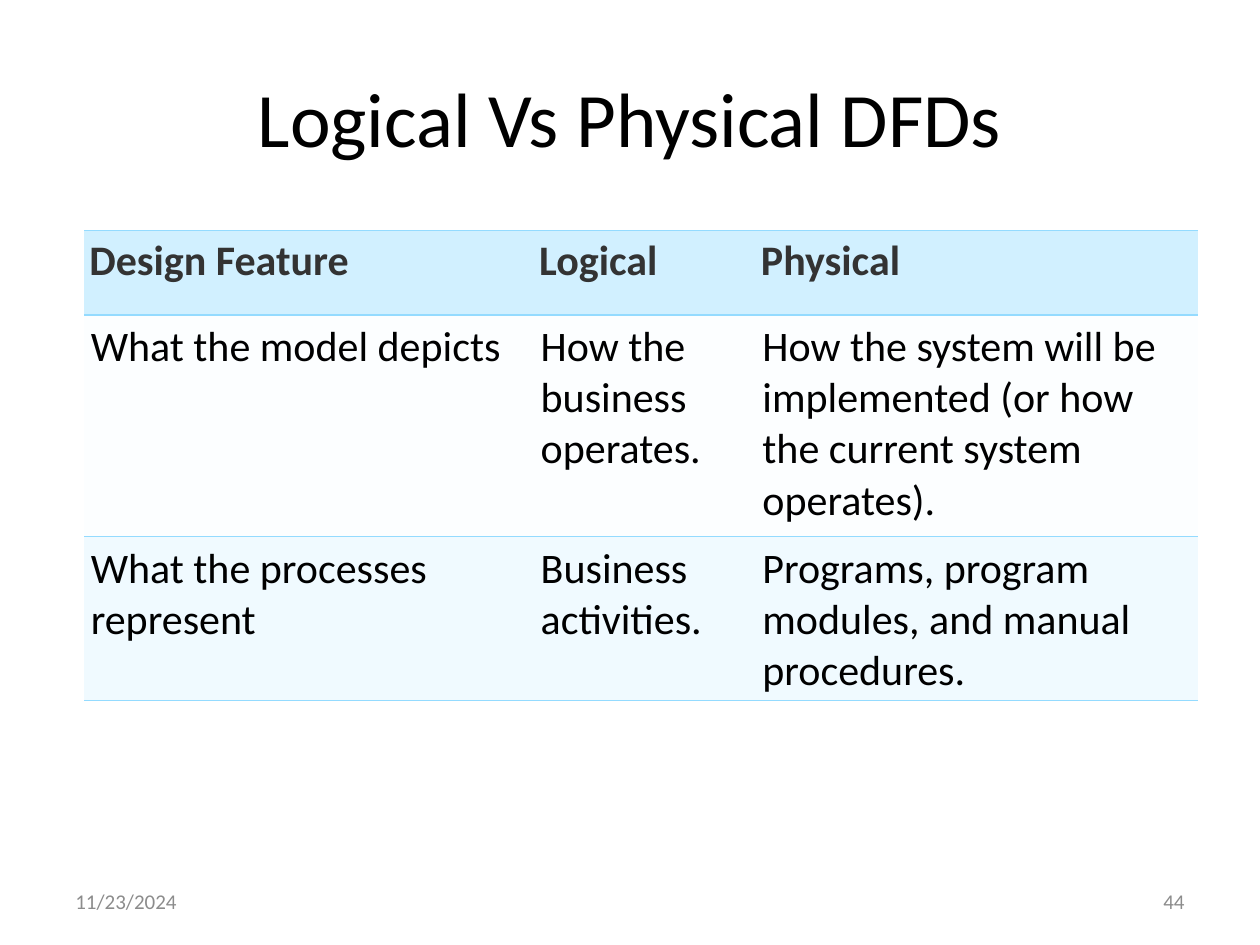
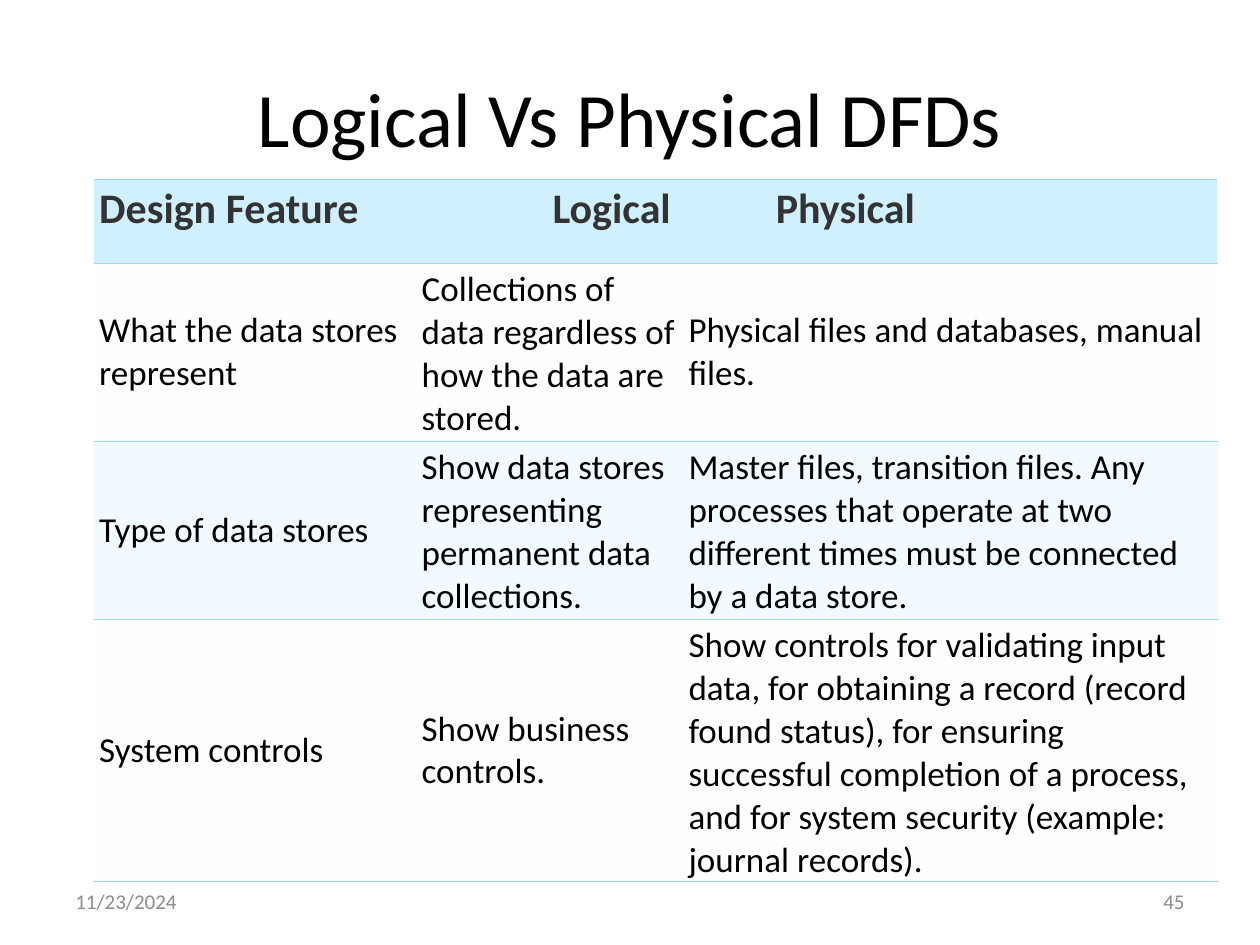
from dataclasses import dataclass
from lxml.etree import SubElement
from pptx import Presentation
from pptx.dml.color import RGBColor as Rgb
from pptx.enum.text import MSO_ANCHOR as Anchor, PP_ALIGN as Align
from pptx.oxml.ns import qn
from pptx.util import Cm, Pt

TITLE = "Logical Vs Physical DFDs"
DATE = "11/23/2024"
HEAD = ("Design Feature", "Logical", "Physical")
MODEL = [
    ("What the model depicts", "How the business operates.",
     "How the system will be implemented (or how the current system operates)."),
    ("What the processes represent", "Business activities.",
     "Programs, program modules, and manual procedures."),
]
STORES = [
    ("What the data stores represent",
     "Collections of data regardless of how the data are stored.",
     "Physical files and databases, manual files."),
    ("Type of data stores",
     "Show data stores representing permanent data collections.",
     "Master files, transition files. Any processes that operate at two "
     "different times must be connected by a data store."),
    ("System controls", "Show business controls.",
     "Show controls for validating input data, for obtaining a record "
     "(record found status), for ensuring successful completion of a process, "
     "and for system security (example: journal records)."),
]


@dataclass(frozen=True)
class Theme:
    font: str = "Calibri"
    ink: str = "000000"
    dark: str = "333333"
    grey: str = "8C8C8C"
    line: str = "94DBFF"
    head: str = "D1F0FF"
    bands: tuple = ("FCFEFF", "F0FAFF")
    title: int = 44
    large: int = 24
    small: int = 20
    foot: int = 12
    rule: float = 0.75


T = Theme()

# Cell looks: text format, inset in cm, anchor, fills taken in turn
HEADER = (dict(size=T.large, color=T.dark, bold=True), 0.1, Anchor.TOP, (T.head,))
ROOMY = (dict(size=T.large, color=T.ink), 0.13, Anchor.TOP, T.bands)
DENSE = (dict(size=T.small, color=T.ink), 0.1, Anchor.MIDDLE, T.bands)

HEAD_H = 1.7
# Each part: look, columns, row heights, texts; lengths in cm
PAGES = [
    dict(number=44, left=1.7, top=4.65, tables=[
        ([HEADER, ROOMY, ROOMY], (9.07, 4.47, 8.92), (HEAD_H, 4.47, 3.12),
         [HEAD, *MODEL]),
    ]),
    dict(number=45, left=1.9, top=3.61, tables=[
        ([DENSE] * 3, (6.5, 5.38, 10.77), (3.3, 3.3, 4.88), STORES),
        ([HEADER], (9.14, 4.5, 8.99), (HEAD_H,), [HEAD]),
    ]),
]


def write(frame, text, size, color, bold=False, align=Align.LEFT):
    frame.word_wrap = True
    para = frame.paragraphs[0]
    para.alignment = align
    run = para.add_run()
    run.text = text
    for key, value in dict(name=T.font, size=Pt(size), bold=bold).items():
        setattr(run.font, key, value)
    run.font.color.rgb = Rgb.from_string(color)


def label(slide, box, text, **look):
    frame = slide.shapes.add_textbox(*map(Cm, box)).text_frame
    frame.vertical_anchor = Anchor.MIDDLE
    write(frame, text, **look)


def rule(cell):
    """Draw lines above and below a cell and none at its sides."""
    props = cell._tc.get_or_add_tcPr()
    for tag in ("a:lnL", "a:lnR"):
        SubElement(SubElement(props, qn(tag)), qn("a:noFill"))
    for tag in ("a:lnT", "a:lnB"):
        edge = SubElement(props, qn(tag), w=str(Pt(T.rule)))
        fill = SubElement(edge, qn("a:solidFill"))
        SubElement(fill, qn("a:srgbClr"), val=T.line)


def style(cell, text, look, turn):
    font, inset, anchor, fills = look
    rule(cell)
    cell.fill.solid()
    cell.fill.fore_color.rgb = Rgb.from_string(fills[turn % len(fills)])
    cell.vertical_anchor = anchor
    for side in ("left", "right", "top", "bottom"):
        setattr(cell, "margin_" + side, Cm(inset))
    write(cell.text_frame, text, **font)


def grid(slide, left, top, looks, cols, rows, texts):
    box = map(Cm, (left, top, sum(cols), sum(rows)))
    table = slide.shapes.add_table(len(rows), len(cols), *box).table
    table.first_row = table.horz_banding = False
    for col, width in zip(table.columns, cols):
        col.width = Cm(width)
    for r, (look, height, line) in enumerate(zip(looks, rows, texts)):
        table.rows[r].height = Cm(height)
        turn = r - looks.count(HEADER)
        for c, text in enumerate(line):
            style(table.cell(r, c), text, look, turn)


def page(deck, number, left, top, tables):
    slide = deck.slides.add_slide(deck.slide_layouts[6])
    label(slide, (1.27, 0.76, 22.86, 3.18), TITLE,
          size=T.title, color=T.ink, align=Align.CENTER)
    for looks, *rest in tables:
        # A body without its own header row sits below the header table
        drop = 0 if HEADER in looks else HEAD_H
        grid(slide, left, top + drop, looks, *rest)
    for x, text, align in ((1.27, DATE, Align.LEFT),
                           (18.21, str(number), Align.RIGHT)):
        label(slide, (x, 17.65, 5.92, 1.02), text,
              size=T.foot, color=T.grey, align=align)


def main():
    deck = Presentation()
    deck.slide_width, deck.slide_height = Cm(25.4), Cm(19.05)
    for item in PAGES:
        page(deck, **item)
    deck.save("out.pptx")


if __name__ == "__main__":
    main()
